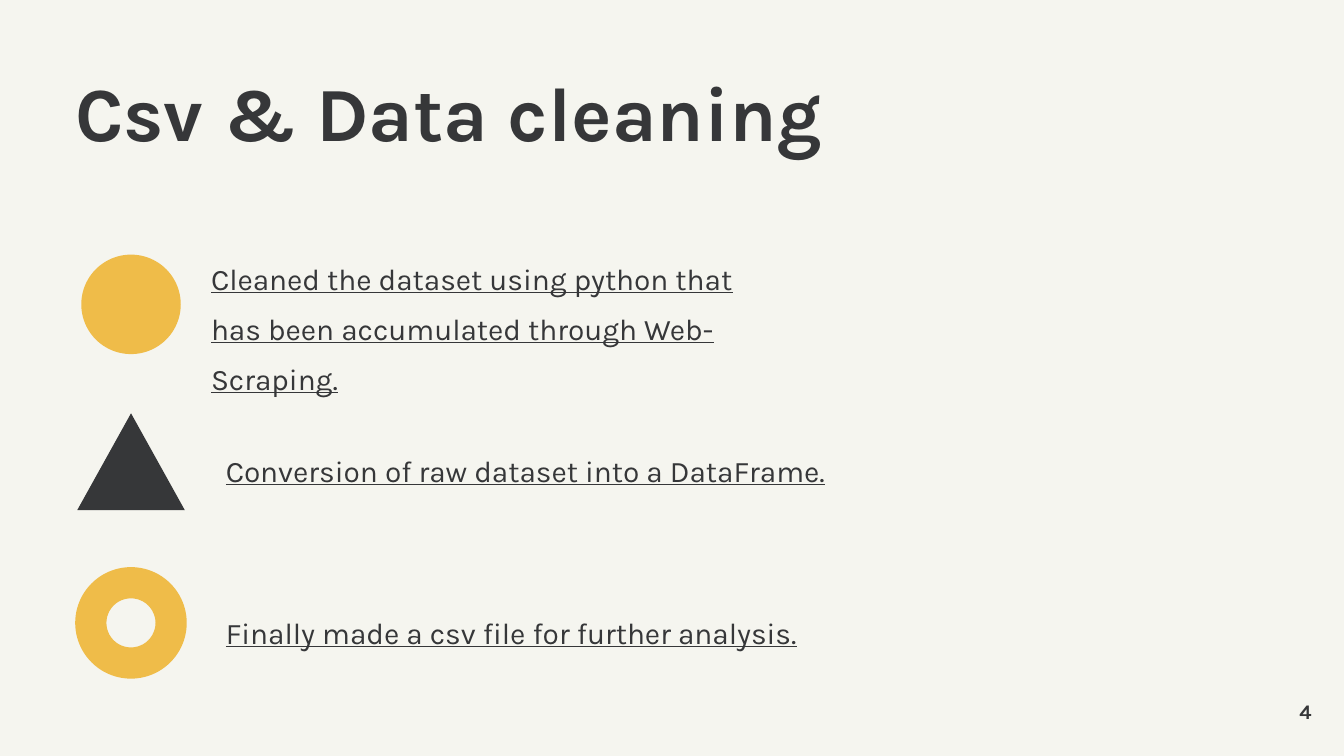
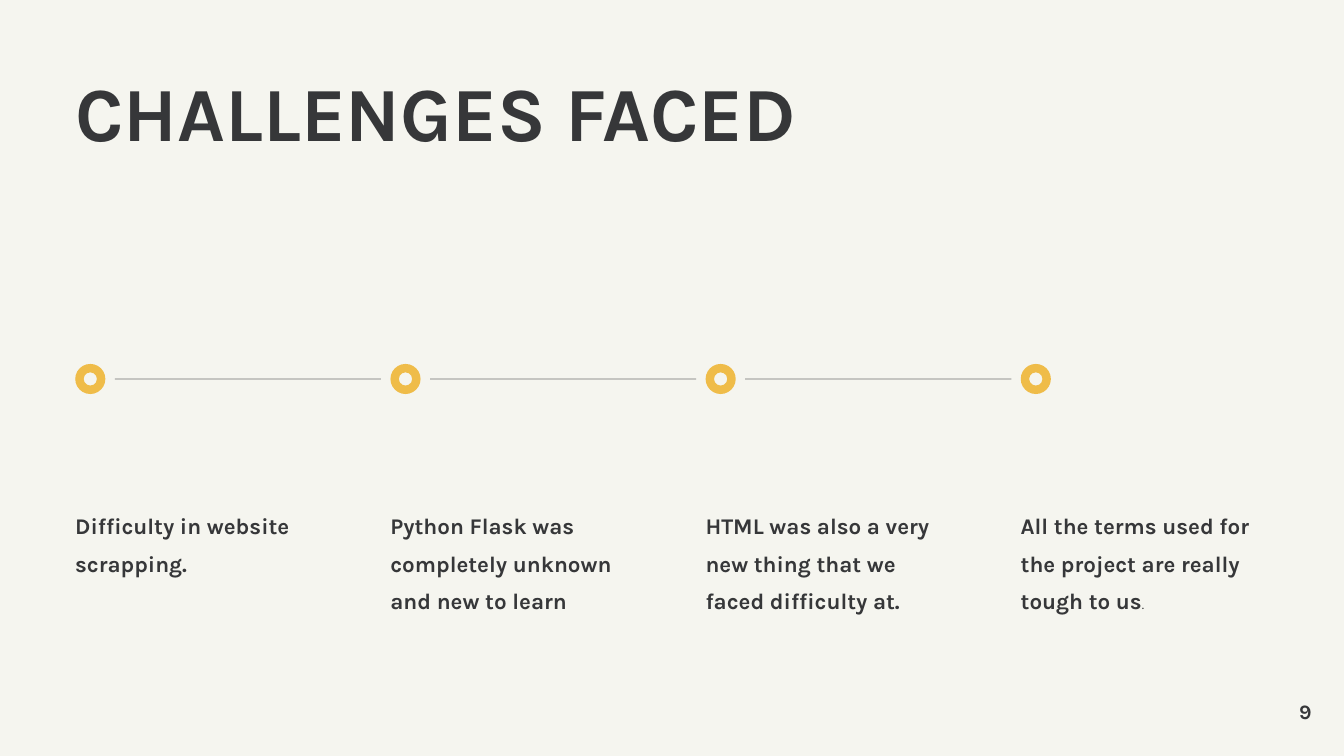
from lxml.etree import SubElement
from pptx import Presentation
from pptx.dml.color import RGBColor
from pptx.enum.shapes import MSO_CONNECTOR as Connector, MSO_SHAPE as Shape
from pptx.enum.text import MSO_ANCHOR as Anchor, MSO_AUTO_SIZE as AutoSize, PP_ALIGN as Align
from pptx.oxml.ns import qn
from pptx.util import Inches, Pt

COLORS = {"paper": "F5F5EF", "ink": "363739", "accent": "EFBC49"}
FONT = "Karla"
CELL = Inches(0.1)  # grid: 100 columns by 56.25 rows
COLUMNS, ROWS = 100, 56.25
MARGIN = 5.6


def color(name):
    """Return a palette colour."""
    return RGBColor.from_string(COLORS[name])


def cells(*counts):
    """Turn grid counts into lengths."""
    return [round(count * CELL) for count in counts]


class Deck:
    """The shared style and the slide being built."""

    def __init__(self):
        self.presentation = Presentation()
        self.presentation.slide_width, self.presentation.slide_height = cells(COLUMNS, ROWS)
        fill = self.presentation.slide_master.background.fill
        fill.solid()
        fill.fore_color.rgb = color("paper")
        self.slide = None

    def add_slide(self, title, number):
        """Start a slide with its title and page number."""
        layout = self.presentation.slide_layouts.get_by_name("Title Only")
        self.slide = self.presentation.slides.add_slide(layout)
        heading = self.slide.shapes.title
        heading.left, heading.top, heading.width, heading.height = cells(MARGIN, 5.6, 70.9, 7.9)
        self.fill_text(heading, [(title, 41, True)], spacing=0.9)
        self.text((91.6, 51.9, 6, 2), [(str(number), 11, True)],
                  align=Align.RIGHT, anchor=Anchor.MIDDLE)

    def fill_text(self, shape, runs, spacing=1.0, align=Align.LEFT, anchor=Anchor.TOP,
                  fit=AutoSize.NONE, underline=False):
        """Fill a shape with one paragraph of (text, size, bold) runs."""
        frame = shape.text_frame
        frame.word_wrap = True
        frame.auto_size = fit
        frame.vertical_anchor = anchor
        frame.margin_left = frame.margin_right = frame.margin_top = frame.margin_bottom = 0
        paragraph = frame.paragraphs[0]
        paragraph.alignment = align
        paragraph.line_spacing = spacing
        for content, size, bold in runs:
            run = paragraph.add_run()
            run.text = content
            font = run.font
            font.name, font.size, font.bold = FONT, Pt(size), bold
            font.underline = underline
            font.color.rgb = color("ink")

    def text(self, box, runs, **style):
        """Add a text box at (left, top, width, height)."""
        self.fill_text(self.slide.shapes.add_textbox(*cells(*box)), runs, **style)

    def caption(self, box, runs, underline=False):
        """Add loosely spaced text whose box fits its content."""
        self.text(box, runs, spacing=1.4, fit=AutoSize.SHAPE_TO_FIT_TEXT, underline=underline)

    def icon(self, kind, center, size, fill):
        """Add a plain shape centred on a grid point."""
        (x, y), (width, height) = center, size
        box = cells(x - width / 2, y - height / 2, width, height)
        shape = self.slide.shapes.add_shape(kind, *box)
        shape.shadow.inherit = False
        shape.fill.solid()
        shape.fill.fore_color.rgb = color(fill)
        shape.line.fill.background()
        return shape

    def ring(self, center, diameter):
        """Add an accent ring."""
        ring = self.icon(Shape.DONUT, center, (diameter, diameter), "accent")
        ring.adjustments[0] = 0.28

    def rule(self, start, end, row):
        """Add a thin translucent horizontal line."""
        line = self.slide.shapes.add_connector(Connector.STRAIGHT, *cells(start, row, end, row))
        line.line.width = Pt(0.75)
        line.line.color.rgb = color("ink")
        properties = line._element.spPr
        tint = properties.find(".//" + qn("a:srgbClr"))
        SubElement(tint, qn("a:alpha")).set("val", "39000")
        SubElement(properties, qn("a:effectLst"))


def cleaning_slide(deck):
    """Three cleaning steps, each beside an icon."""
    deck.add_slide("Csv & Data cleaning", 4)
    center = 9.75
    deck.icon(Shape.OVAL, (center, 22.65), (7.4, 7.4), "accent")
    deck.icon(Shape.ISOSCELES_TRIANGLE, (center, 34.35), (8, 7.2), "ink")
    deck.ring((center, 46.35), 8.3)
    steps = [
        ((15.7, 18.3, 42.9, 7.5),
         "Cleaned the dataset using python that has been accumulated through Web-Scraping."),
        ((16.8, 32.6, 47.1, 3.8), "Conversion of raw dataset into a DataFrame."),
        ((16.8, 44.7, 42.9, 3.8), "Finally made a csv file for further analysis."),
    ]
    for box, step in steps:
        deck.caption(box, [(step, 16, False)], underline=True)


def challenges_slide(deck):
    """Four challenges along a dotted timeline."""
    deck.add_slide("CHALLENGES FACED", 9)
    pitch, diameter, row = 23.45, 2.24, 28.2
    challenges = [
        [("Difficulty in website scrapping.", 12, True)],
        [("Python Flask was completely unknown and new to learn", 12, True)],
        [("HTML was also a very new thing that we faced difficulty at.", 12, True)],
        [("All the terms used for the project are really tough to us", 12, True), (".", 7, False)],
    ]
    for index, runs in enumerate(challenges):
        left = MARGIN + index * pitch
        deck.ring((left + diameter / 2, row), diameter)
        deck.caption((left, 37.3, 18.4, 8.5), runs)
        if index < len(challenges) - 1:
            deck.rule(left + 2.95, left + pitch - 0.7, row)


deck = Deck()
cleaning_slide(deck)
challenges_slide(deck)
deck.presentation.save("out.pptx")
